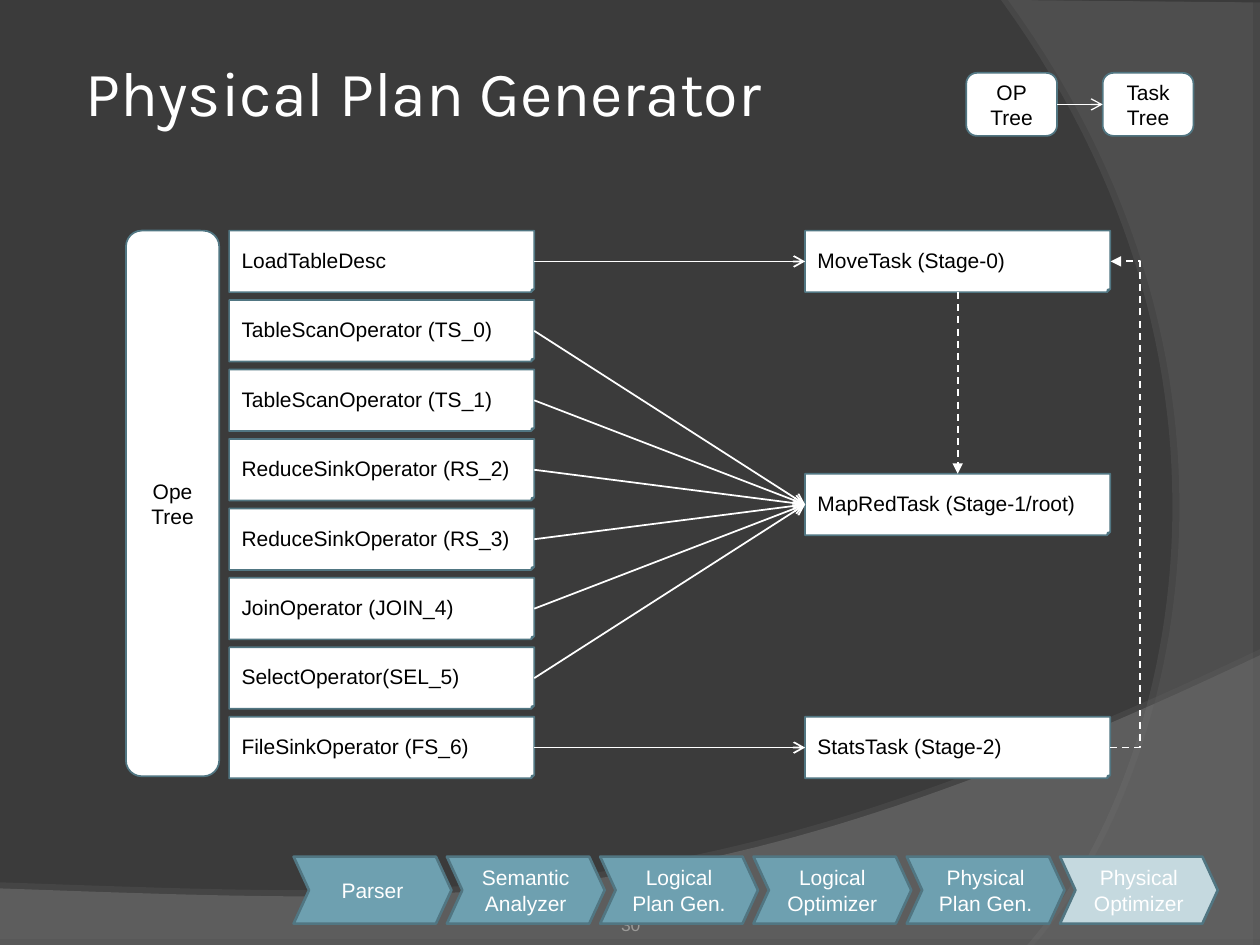
from dataclasses import dataclass
from typing import Any

import pptx
import pptx.dml.color
import pptx.enum.dml
import pptx.enum.shapes
import pptx.enum.text
import pptx.oxml
import pptx.oxml.ns
import pptx.util
from lxml import etree

Cm = pptx.util.Cm
Pt = pptx.util.Pt
Kind = pptx.enum.shapes.MSO_SHAPE
Link = pptx.enum.shapes.MSO_CONNECTOR
Align = pptx.enum.text.PP_ALIGN
Anchor = pptx.enum.text.MSO_ANCHOR
qn = pptx.oxml.ns.qn


@dataclass(frozen=True)
class Theme:
    back: str = "3B3B3B"
    white: str = "FFFFFF"
    black: str = "000000"
    edge: str = "517682"
    step: str = "6EA0B0"
    pale: str = "C5D9DF"
    wave: str = "7C7C7C"
    arc: str = "595959"
    shade: str = "808080"
    page: str = "9B9A98"
    head: str = "Karla"
    body: str = "Arial"
    large: float = 36
    base: float = 12
    small: float = 10


@dataclass(frozen=True)
class Box:
    text: str
    left: float
    top: float
    width: float
    height: float
    kind: Any = Kind.FOLDED_CORNER
    fill: str = Theme.white
    ink: str = Theme.black
    line: float = 1
    bend: float = 0.05
    align: Any = Align.CENTER


@dataclass(frozen=True)
class Curve:
    points: tuple
    pulls: tuple
    fill: str
    alpha: int
    shade: int
    gap: float
    turn: int


LOOK = Theme()
TOP, PITCH, WIDTH, HEIGHT = 4.65, 1.4, 6.15, 1.24
LEFT, RIGHT = 4.62, 16.23
UP, WEST, DOWN, EAST = range(4)

CURVES = (
    Curve(((0, 17.91), (0, 19.05), (25.4, 19.05), (25.4, 13.21)),
          ((14.2, 18.52), (9.93, 18.26), (0, 17.91)), LOOK.wave, 45, 35, 3.5, 270),
    Curve(((25.4, 0.05), (25.4, 19.05), (20.85, 19.05)),
          ((23.75, 15.72), (25.86, 7.62), (20.32, 0)), LOOK.arc, 40, 45, 4, 180),
)
NODES = (
    "LoadTableDesc", "TableScanOperator (TS_0)", "TableScanOperator (TS_1)",
    "ReduceSinkOperator (RS_2)", "ReduceSinkOperator (RS_3)",
    "JoinOperator (JOIN_4)", "SelectOperator(SEL_5)", "FileSinkOperator (FS_6)",
)
TASKS = (("MoveTask (Stage-0)", 0), ("MapRedTask (Stage-1/root)", 3.5),
         ("StatsTask (Stage-2)", 7))
STEPS = ("Parser", "Semantic\nAnalyzer", "Logical\nPlan Gen.",
         "Logical\nOptimizer", "Physical\nPlan Gen.", "Physical\nOptimizer")


def tint(code: str) -> Any:
    return pptx.dml.color.RGBColor.from_string(code)


def write(frame: Any, text: str, face: str, size: float, ink: str, align: Any) -> None:
    frame.word_wrap = True
    for i, words in enumerate(text.split("\n")):
        para = frame.add_paragraph() if i else frame.paragraphs[0]
        para.alignment = align
        run = para.add_run()
        run.text = words
        run.font.name = face
        run.font.size = Pt(size)
        run.font.color.rgb = tint(ink)


def fade(color: Any, share: int) -> None:
    etree.SubElement(color, qn("a:alpha"), val=str(share * 1000))


def adjust(shape: Any, name: str, value: float) -> None:
    guides = shape.element.spPr.find(qn("a:prstGeom")).find(qn("a:avLst"))
    for guide in list(guides):
        guides.remove(guide)
    etree.SubElement(guides, qn("a:gd"), name=name, fmla=f"val {round(value * 100000)}")


def sweep(slide: Any, curve: Curve) -> None:
    ends = (curve.points[-1], *curve.pulls)
    path = list(curve.points[1:])
    for i in range(1, 61):
        t = i / 60
        parts = ((1 - t) ** 3, 3 * t * (1 - t) ** 2, 3 * t * t * (1 - t), t ** 3)
        path.append(tuple(sum(p * e[k] for p, e in zip(parts, ends)) for k in (0, 1)))
    x, y = curve.points[0]
    pen = slide.shapes.build_freeform(Cm(x), Cm(y))
    pen.add_line_segments([(Cm(x), Cm(y)) for x, y in path], close=True)
    shape = pen.convert_to_shape()
    shape.shadow.inherit = False
    shape.fill.solid()
    shape.fill.fore_color.rgb = tint(curve.fill)
    shape.line.fill.background()
    props = shape.element.spPr
    fade(props.find(qn("a:solidFill"))[0], curve.alpha)
    cast = etree.SubElement(props.find(qn("a:effectLst")), qn("a:outerShdw"),
                            blurRad="0", dist=str(int(Pt(curve.gap))),
                            dir=str(curve.turn * 60000), algn="ctr", rotWithShape="0")
    fade(etree.SubElement(cast, qn("a:srgbClr"), val=LOOK.shade), curve.shade)


def draw(slide: Any, box: Box) -> Any:
    shape = slide.shapes.add_shape(
        box.kind, Cm(box.left), Cm(box.top), Cm(box.width), Cm(box.height))
    shape.shadow.inherit = False
    adjust(shape, "adj", box.bend)
    shape.fill.solid()
    shape.fill.fore_color.rgb = tint(box.fill)
    shape.line.color.rgb = tint(LOOK.edge)
    shape.line.width = Pt(box.line)
    shape.text_frame.vertical_anchor = Anchor.MIDDLE
    write(shape.text_frame, box.text, LOOK.body, LOOK.base, box.ink, box.align)
    return shape


def style(wire: Any, width: float, dash: bool) -> None:
    wire.line.color.rgb = tint(LOOK.white)
    wire.line.width = Pt(width)
    if dash:
        wire.line.dash_style = pptx.enum.dml.MSO_LINE.DASH
    props = wire.element.spPr
    etree.SubElement(props.find(qn("a:ln")), qn("a:tailEnd"),
                     type="triangle" if dash else "arrow")
    etree.SubElement(props, qn("a:effectLst"))


def join(slide: Any, start: Any, end: Any, out: int = EAST, into: int = WEST,
         width: float = 1, dash: bool = False) -> None:
    wire = slide.shapes.add_connector(Link.STRAIGHT, 0, 0, 0, 0)
    wire.begin_connect(start, out)
    wire.end_connect(end, into)
    style(wire, width, dash)


def loop(slide: Any, start: Any, end: Any, reach: float) -> None:
    side, slip = start.left + start.width, 0.01
    wire = slide.shapes.add_connector(
        Link.ELBOW, side, start.top + start.height // 2,
        side + Cm(slip), end.top + end.height // 2)
    adjust(wire, "adj1", reach / slip)
    style(wire, 1, True)


def row(text: str, left: float, rank: float) -> Box:
    return Box(text, left, TOP + rank * PITCH, WIDTH, HEIGHT, align=Align.LEFT)


def main() -> None:
    deck = pptx.Presentation()
    deck.slide_width, deck.slide_height = Cm(25.4), Cm(19.05)
    slide = deck.slides.add_slide(deck.slide_layouts[5])
    slide.background.fill.solid()
    slide.background.fill.fore_color.rgb = tint(LOOK.back)
    title = slide.shapes.title
    title.left, title.top, title.width, title.height = Cm(1.6), Cm(0.91), Cm(22.23), Cm(1.88)
    frame = title.text_frame
    frame.margin_left = frame.margin_right = Cm(0.13)
    frame.vertical_anchor = Anchor.MIDDLE
    write(frame, "Physical Plan Generator", LOOK.head, LOOK.large, LOOK.white, Align.LEFT)
    for curve in CURVES:
        sweep(slide, curve)
    frame = slide.shapes.add_textbox(Cm(8.69), Cm(17.83), Cm(8.05), Cm(1.02)).text_frame
    frame.margin_left = frame.margin_right = frame.margin_bottom = 0
    frame.vertical_anchor = Anchor.BOTTOM
    write(frame, "30", LOOK.body, LOOK.small, LOOK.page, Align.CENTER)
    draw(slide, Box("Ope\nTree", 2.54, TOP, 1.88, 11, Kind.ROUNDED_RECTANGLE, bend=0.17))
    nodes = [draw(slide, row(text, LEFT, i)) for i, text in enumerate(NODES)]
    move, reduce, stats = [draw(slide, row(text, RIGHT, rank)) for text, rank in TASKS]
    for node, task in zip(nodes, (move, *[reduce] * 6, stats)):
        join(slide, node, task)
    join(slide, move, reduce, DOWN, UP, dash=True)
    loop(slide, stats, move, 0.6)
    trees = [draw(slide, Box(text, left, 1.47, 1.83, 1.27, Kind.ROUNDED_RECTANGLE, bend=0.17))
             for text, left in (("OP\nTree", 19.48), ("Task\nTree", 22.23))]
    join(slide, *trees, width=0.75)
    for i, text in enumerate(STEPS):
        fill = LOOK.pale if i == len(STEPS) - 1 else LOOK.step
        draw(slide, Box(text, 5.92 + i * 3.09, 17.27, 3.18, 1.35, Kind.CHEVRON,
                        fill, LOOK.white, 1.5, 0.23))
    deck.save("out.pptx")


if __name__ == "__main__":
    main()
